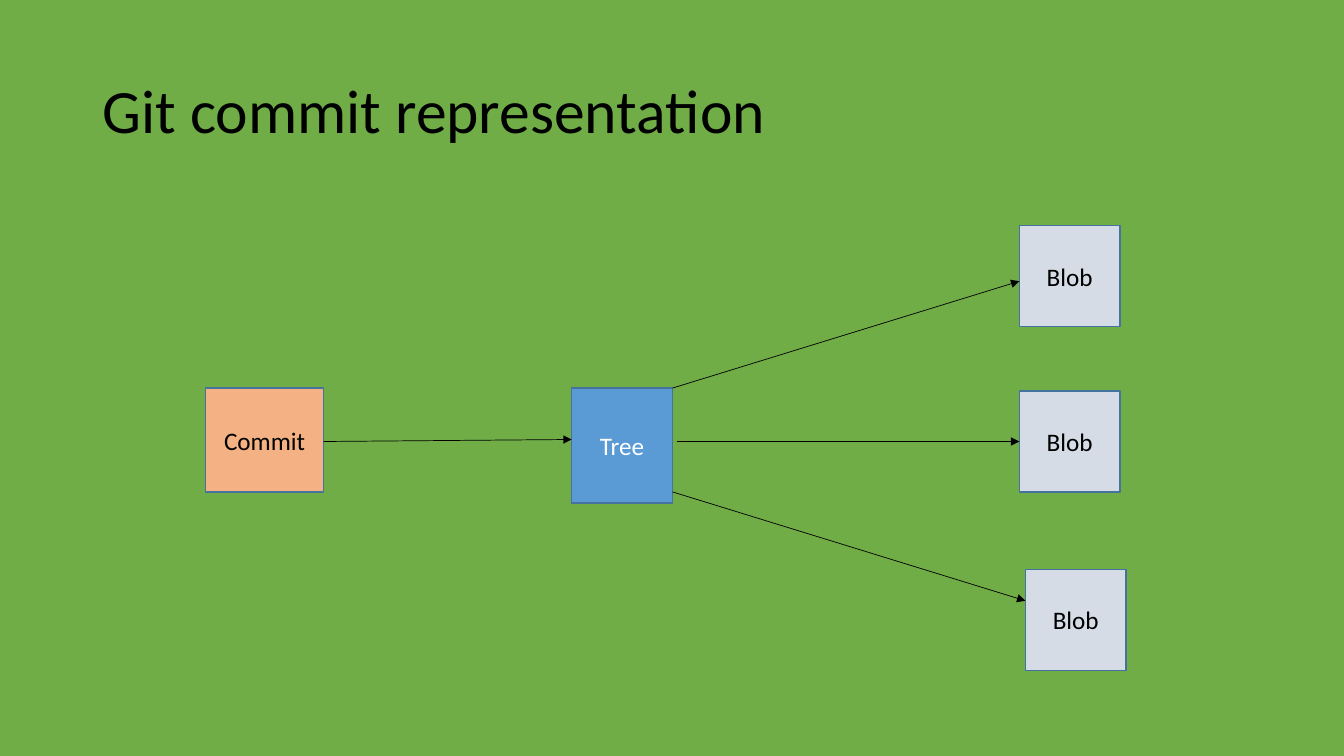
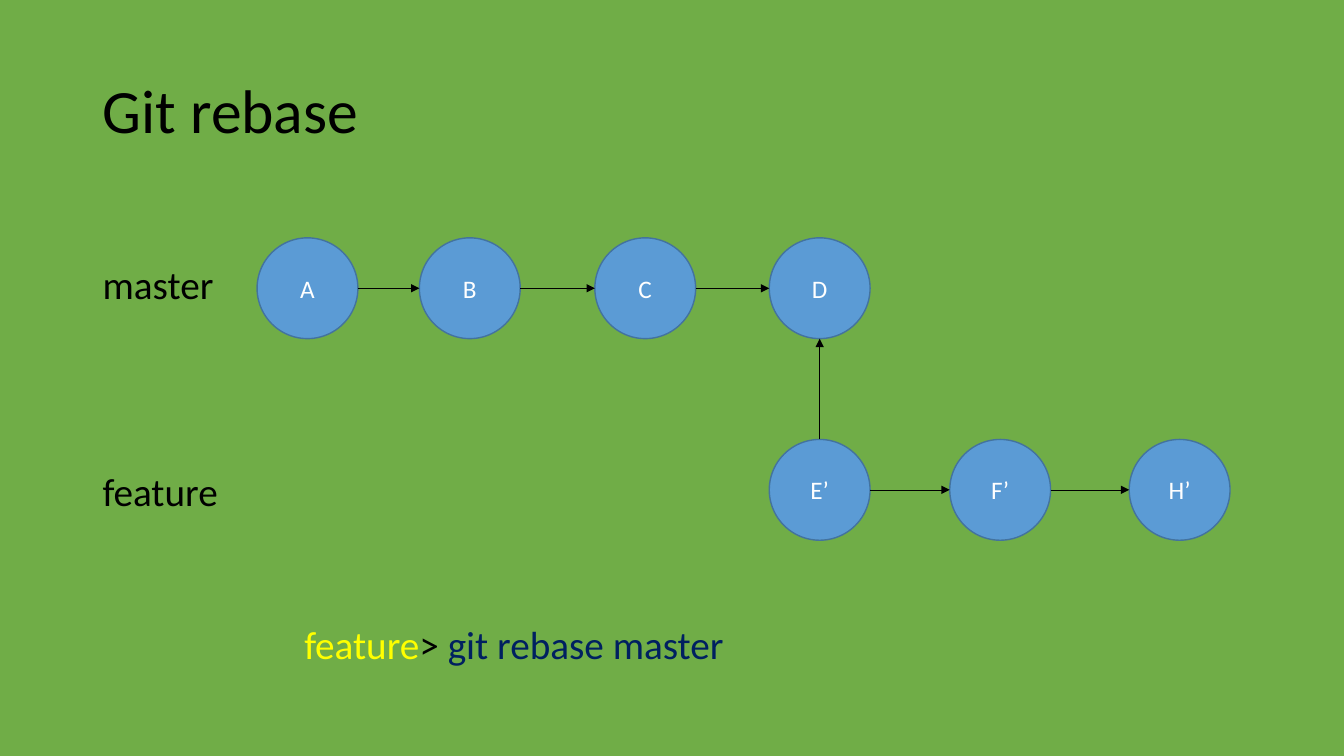
"""Build two slides on Git: how a commit is stored, and how a rebase works."""
from itertools import pairwise

from lxml.etree import SubElement
from pptx import Presentation
from pptx.dml.color import RGBColor
from pptx.enum.shapes import MSO_CONNECTOR as Connector, MSO_SHAPE as Shape
from pptx.enum.text import MSO_ANCHOR as Anchor, MSO_AUTO_SIZE as AutoSize, PP_ALIGN as Align
from pptx.oxml.ns import qn
from pptx.util import Inches, Pt

FONT = "Calibri"
GREEN, BLUE, OUTLINE = "70AD47", "5B9BD5", "43739E"
ORANGE, GREY, BLACK, WHITE = "F4B183", "D6DCE5", "000000", "FFFFFF"
YELLOW, NAVY = "FFFF00", "002060"
NODE = 1
MASTER_Y, FEATURE_Y = 2.36, 4.36


def rgb(value):
    return RGBColor.from_string(value)


def style_run(run, size, color):
    run.font.name = FONT
    run.font.size = Pt(size)
    run.font.color.rgb = rgb(color)


def add_titled_slide(prs, heading):
    slide = prs.slides.add_slide(prs.slide_layouts[5])
    title = slide.shapes.title
    title.left, title.top = Inches(0.92), Inches(0.4)
    title.width, title.height = Inches(11.5), Inches(1.45)
    frame = title.text_frame
    frame.text = heading
    frame.auto_size = AutoSize.NONE
    frame.vertical_anchor = Anchor.MIDDLE
    paragraph = frame.paragraphs[0]
    paragraph.alignment = Align.LEFT
    paragraph.line_spacing = 0.9
    style_run(paragraph.runs[0], 44, BLACK)
    return slide


def add_node(slide, kind, label, left, top, fill, color, width=NODE, height=NODE):
    node = slide.shapes.add_shape(kind, Inches(left), Inches(top), Inches(width), Inches(height))
    node.shadow.inherit = False
    node.fill.solid()
    node.fill.fore_color.rgb = rgb(fill)
    node.line.color.rgb = rgb(OUTLINE)
    node.line.width = Pt(1)
    frame = node.text_frame
    frame.text = label
    frame.vertical_anchor = Anchor.MIDDLE
    frame.paragraphs[0].alignment = Align.CENTER
    style_run(frame.paragraphs[0].runs[0], 18, color)


def add_arrow(slide, start, end):
    arrow = slide.shapes.add_connector(Connector.STRAIGHT, *map(Inches, start + end))
    arrow.line.color.rgb = rgb(BLACK)
    arrow.line.width = Pt(0.5)
    SubElement(arrow.line._get_or_add_ln(), qn("a:tailEnd"), type="triangle")
    SubElement(arrow._element.spPr, qn("a:effectLst"))


def add_label(slide, left, middle, width, parts):
    height = 0.6
    label = slide.shapes.add_textbox(
        Inches(left), Inches(middle - height / 2), Inches(width), Inches(height))
    frame = label.text_frame
    frame.word_wrap = True
    frame.vertical_anchor = Anchor.MIDDLE
    for text, color in parts:
        run = frame.paragraphs[0].add_run()
        run.text = text
        style_run(run, 28, color)


def add_branch(slide, commits, top):
    for name, left in commits:
        add_node(slide, Shape.OVAL, name, left, top, BLUE, WHITE)
    middle = top + NODE / 2
    for (_, left), (_, next_left) in pairwise(commits):
        add_arrow(slide, (left + NODE, middle), (next_left, middle))


def build_commit_slide(prs):
    slide = add_titled_slide(prs, "Git commit representation")
    add_node(slide, Shape.RECTANGLE, "Commit", 2.04, 3.85, ORANGE, BLACK, 1.17, 1.03)
    add_node(slide, Shape.RECTANGLE, "Tree", 5.67, 3.85, BLUE, WHITE, height=1.14)
    add_arrow(slide, (3.21, 4.38), (5.67, 4.36))
    blobs = [
        (10.11, 2.24, (6.67, 3.85), 2.79),
        (10.11, 3.88, (6.71, 4.38), 4.38),
        (10.17, 5.65, (6.67, 4.88), 5.96),
    ]
    for left, top, tree_point, arrow_y in blobs:
        add_node(slide, Shape.RECTANGLE, "Blob", left, top, GREY, BLACK)
        add_arrow(slide, tree_point, (left, arrow_y))


def build_rebase_slide(prs):
    slide = add_titled_slide(prs, "Git rebase")
    add_branch(slide, [("A", 2.55), ("B", 4.16), ("C", 5.9), ("D", 7.63)], MASTER_Y)
    add_branch(slide, [("E’", 7.63), ("F’", 9.42), ("H’", 11.2)], FEATURE_Y)
    add_arrow(slide, (8.13, FEATURE_Y), (8.13, MASTER_Y + NODE))
    add_label(slide, 0.92, 2.82, 1.6, [("master", BLACK)])
    add_label(slide, 0.92, 4.87, 1.6, [("feature", BLACK)])
    add_label(slide, 2.92, 6.39, 6,
              [("feature", YELLOW), ("> ", BLACK), ("git rebase master", NAVY)])


def main():
    prs = Presentation()
    prs.slide_width, prs.slide_height = Inches(13.33), Inches(7.5)
    backdrop = prs.slide_master.background.fill
    backdrop.solid()
    backdrop.fore_color.rgb = rgb(GREEN)
    build_commit_slide(prs)
    build_rebase_slide(prs)
    prs.save("out.pptx")


main()
